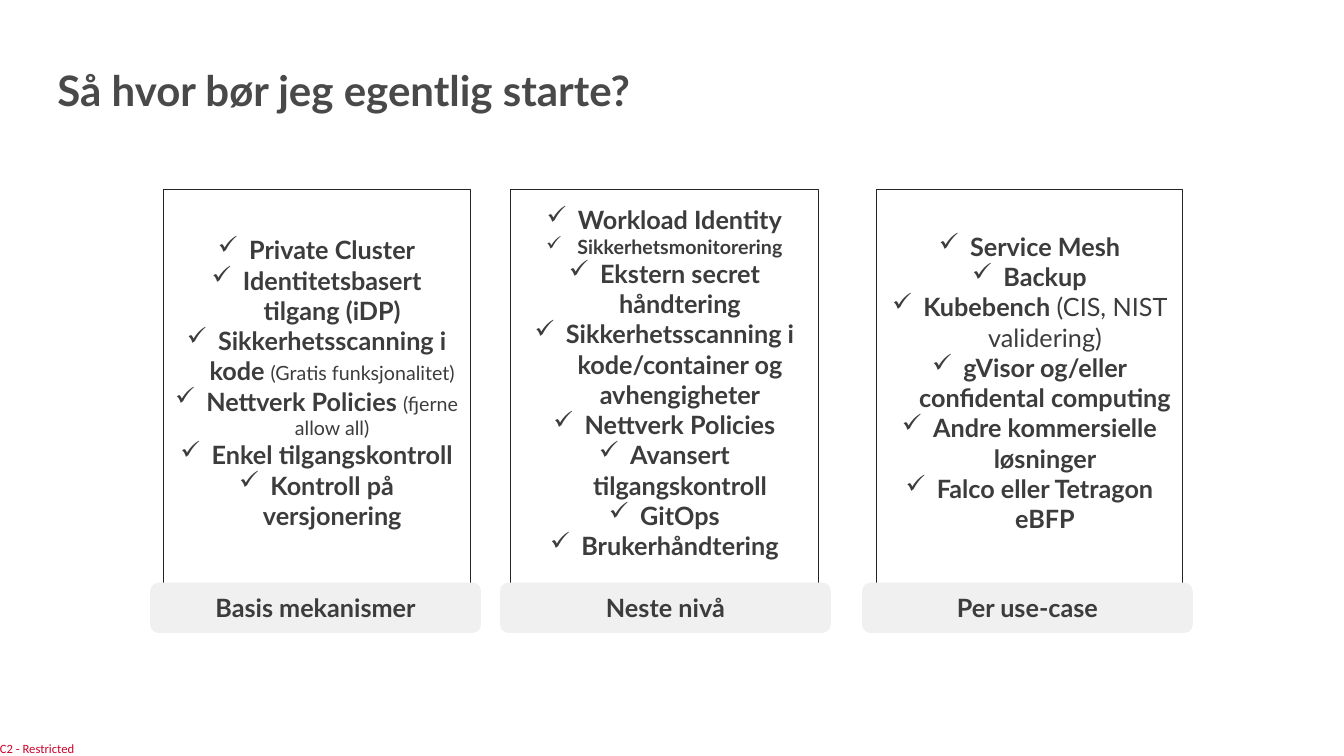
from lxml import etree
from pptx import Presentation
from pptx import util as u
from pptx.dml.color import RGBColor
from pptx.enum import shapes, text
from pptx.oxml.ns import qn

INK = "3C3C3C"
LEVELS = [
    ("Basis mekanismer", 1.49, 0.13, 3.04, [
        [("Private Cluster", 18, True)],
        [("Identitetsbasert tilgang (iDP)", 18, True)],
        [("Sikkerhetsscanning i kode ", 18, True), ("(Gratis funksjonalitet)", 14, False)],
        [("Nettverk Policies ", 18, True), ("(fjerne allow all)", 14, False)],
        [("Enkel tilgangskontroll", 18, True)],
        [("Kontroll på versjonering", 18, True)],
    ]),
    ("Neste nivå", 4.96, 0.1, 3.06, [
        [("Workload Identity", 18, True)],
        [("Sikkerhetsmonitorering", 14, True)],
        [("Ekstern secret håndtering", 18, True)],
        [("Sikkerhetsscanning i kode/container og avhengigheter", 18, True)],
        [("Nettverk Policies", 18, True)],
        [("Avansert tilgangskontroll", 18, True)],
        [("GitOps", 18, True)],
        [("Brukerhåndtering", 18, True)],
    ]),
    ("Per use-case", 8.55, 0.14, 3.04, [
        [("Service Mesh", 18, True)],
        [("Backup", 18, True)],
        [("Kubebench", 18, True), (" (CIS, NIST validering)", 18, False)],
        [("gVisor og/eller confidental computing", 18, True)],
        [("Andre kommersielle løsninger", 18, True)],
        [("Falco eller Tetragon eBFP", 18, True)],
    ]),
]


def color(value):
    return RGBColor.from_string(value)


def style(font, size, ink, bold=False, face="Lato"):
    font.name, font.size, font.bold = face, u.Pt(size), bold
    font.color.rgb = color(ink)


def add_line_of_text(slide, box, words, size, ink, bold, face, wrap):
    label = slide.shapes.add_textbox(*map(u.Inches, box))
    frame = label.text_frame
    frame.margin_left = frame.margin_right = frame.margin_top = frame.margin_bottom = 0
    frame.word_wrap = wrap
    frame.text = words
    style(frame.paragraphs[0].runs[0].font, size, ink, bold, face)


def add_panel(slide, preset, box, fill, outline=None):
    panel = slide.shapes.add_shape(preset, *map(u.Inches, box))
    panel.shadow.inherit = False
    panel.fill.solid()
    panel.fill.fore_color.rgb = color(fill)
    if outline:
        panel.line.color.rgb = color(outline)
        panel.line.width = u.Pt(0.25)
    else:
        panel.line.fill.background()
    panel.text_frame.word_wrap = True
    panel.text_frame.vertical_anchor = text.MSO_ANCHOR.MIDDLE
    return panel.text_frame


def add_check(paragraph):
    props = paragraph._p.get_or_add_pPr()
    indent = u.Inches(0.31)
    props.set("marL", str(indent))
    props.set("indent", str(-indent))
    etree.SubElement(props, qn("a:buChar")).set("char", "✓")


def add_level(slide, box, inset, list_width, heading, measures):
    left, top, width, height = box
    checklist = add_panel(slide, shapes.MSO_SHAPE.RECTANGLE,
                          (left + inset, top, list_width, height - 0.27), "FFFFFF", "242424")
    checklist.margin_bottom = u.Inches(0.35)
    for index, pieces in enumerate(measures):
        measure = checklist.paragraphs[0] if index == 0 else checklist.add_paragraph()
        measure.alignment = text.PP_ALIGN.CENTER
        add_check(measure)
        for words, size, bold in pieces:
            run = measure.add_run()
            run.text = words
            style(run.font, size, INK, bold)

    caption = add_panel(slide, shapes.MSO_SHAPE.ROUNDED_RECTANGLE,
                        (left, top + height - 0.5, width, 0.5), "F0F0F0")
    caption.text = heading
    caption.paragraphs[0].alignment = text.PP_ALIGN.CENTER
    style(caption.paragraphs[0].runs[0].font, 18, INK, True)


def main():
    deck = Presentation()
    deck.slide_width, deck.slide_height = u.Inches(13.33), u.Inches(7.5)
    slide = deck.slides.add_slide(deck.slide_layouts[6])
    add_line_of_text(slide, (0, 7.35, 0.77, 0.15), "C2 - Restricted",
                     9, "CF022B", False, "Calibri", False)
    add_line_of_text(slide, (0.57, 0.64, 11.76, 0.6), "Så hvor bør jeg egentlig starte?",
                     30, "494949", True, "Lato", True)
    for heading, left, inset, list_width, measures in LEVELS:
        add_level(slide, (left, 1.88, 3.28, 4.4), inset, list_width, heading, measures)
    deck.save("out.pptx")


if __name__ == "__main__":
    main()
